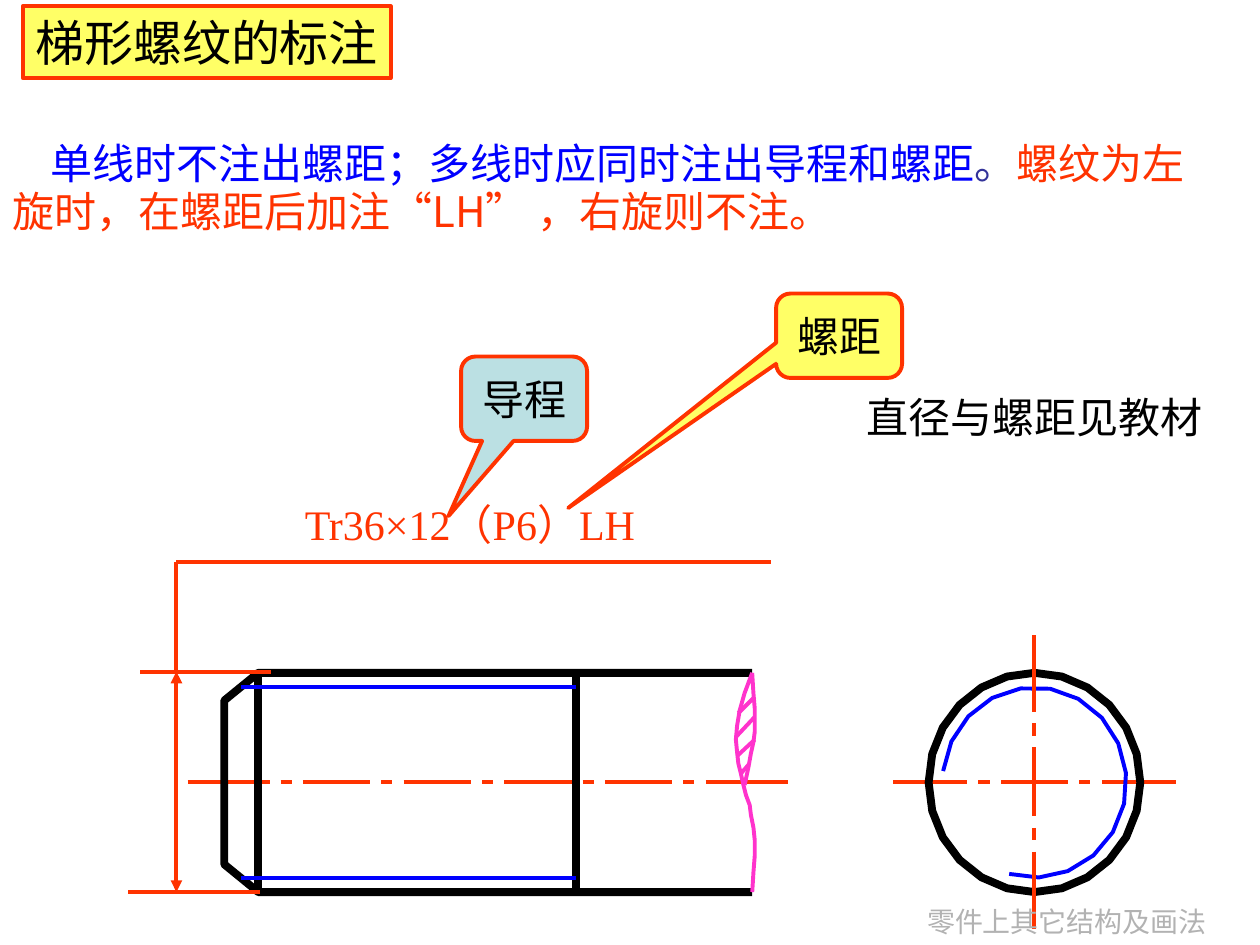
from dataclasses import dataclass
from math import cos, radians, sin
from typing import Optional

from lxml.etree import SubElement
from pptx import Presentation
from pptx.dml.color import RGBColor
from pptx.enum.shapes import MSO_CONNECTOR as Connector, MSO_SHAPE as Preset
from pptx.enum.text import MSO_ANCHOR as Anchor, MSO_AUTO_SIZE as AutoSize, PP_ALIGN as Align
from pptx.oxml.ns import qn
from pptx.util import Inches, Pt

RED = RGBColor(0xFF, 0x33, 0x00)
YELLOW = RGBColor(0xFF, 0xFF, 0x66)
PALE_TEAL = RGBColor(0xBB, 0xE0, 0xE3)
BLUE = RGBColor(0x00, 0x00, 0xFF)
INDIGO = RGBColor(0x33, 0x33, 0x99)
MAGENTA = RGBColor(0xFF, 0x33, 0xCC)
GREY = RGBColor(0xB2, 0xB2, 0xB2)
BLACK = RGBColor(0, 0, 0)

NOTO, TIMES, ARIAL = "Noto Sans CJK SC", "Times New Roman", "Arial"
THIN, THICK = 2.25, 4.5
COLUMNS, ROWS = 100, 75

presentation = Presentation()
presentation.slide_width, presentation.slide_height = Inches(10), Inches(7.5)
slide = presentation.slides.add_slide(presentation.slide_layouts[6])
CELL_WIDTH = presentation.slide_width / COLUMNS
CELL_HEIGHT = presentation.slide_height / ROWS

Point = tuple[float, float]


@dataclass
class Label:
    text: str
    box: tuple[float, float, float, float]
    font: str = TIMES
    size: int = 24
    color: RGBColor = BLACK
    align: Align = Align.LEFT
    anchor: Anchor = Anchor.TOP
    wrap: bool = True
    grow: bool = True
    preset: Optional[Preset] = None
    fill: Optional[RGBColor] = None
    tip: tuple[float, ...] = ()


@dataclass
class Stroke:
    points: list[Point]
    color: RGBColor = RED
    width: float = THIN
    closed: bool = False
    arrows: bool = False


@dataclass
class CenterLine:
    start: Point
    end_dash: float
    inner_dash: float
    inner_count: int
    dot: float
    gap: float
    vertical: bool = False


def place(column: float, row: float) -> tuple[int, int]:
    return round(column * CELL_WIDTH), round(row * CELL_HEIGHT)


def set_font(font, name: str) -> None:
    font.name = name
    SubElement(font._element, qn("a:ea"), typeface=NOTO)


def draw_label(label: Label):
    left, top, width, height = label.box
    area = (*place(left, top), *place(width, height))
    if label.preset is None:
        shape = slide.shapes.add_textbox(*area)
    else:
        shape = slide.shapes.add_shape(label.preset, *area)
        shape.shadow.inherit = False
        shape.fill.solid()
        shape.fill.fore_color.rgb = label.fill
        shape.line.color.rgb = RED
        shape.line.width = Pt(THIN)
        for index, value in enumerate(label.tip):
            shape.adjustments[index] = value
    frame = shape.text_frame
    frame.word_wrap = label.wrap
    frame.auto_size = AutoSize.SHAPE_TO_FIT_TEXT if label.grow else AutoSize.NONE
    frame.vertical_anchor = label.anchor
    paragraph = frame.paragraphs[0]
    paragraph.alignment = label.align
    paragraph.font.size = Pt(label.size)
    if label.text:
        paragraph.add_run().text = label.text
        paragraph.font.color.rgb = label.color
        set_font(paragraph.font, label.font)
    return paragraph


def draw_stroke(stroke: Stroke) -> None:
    points = [place(*point) for point in stroke.points]
    if len(points) == 2:
        shape = slide.shapes.add_connector(Connector.STRAIGHT, *points[0], *points[1])
        SubElement(shape._element.spPr, qn("a:effectLst"))
    else:
        builder = slide.shapes.build_freeform(*points[0], scale=1.0)
        builder.add_line_segments(points[1:], close=stroke.closed)
        shape = builder.convert_to_shape()
        shape.shadow.inherit = False
        shape.fill.background()
    shape.line.color.rgb = stroke.color
    shape.line.width = Pt(stroke.width)
    if stroke.arrows:
        for end in ("a:headEnd", "a:tailEnd"):
            SubElement(shape.line._get_or_add_ln(), qn(end), type="triangle")


def draw_center_line(line: CenterLine) -> None:
    dashes = [line.end_dash]
    for length in [line.inner_dash] * line.inner_count + [line.end_dash]:
        dashes += [line.dot, length]
    column, row = line.start
    across, down = (0, 1) if line.vertical else (1, 0)
    for dash in dashes:
        draw_stroke(Stroke([(column, row), (column + across * dash, row + down * dash)]))
        column += across * (dash + line.gap)
        row += down * (dash + line.gap)


def arc(center: Point, radii: Point, start: float, step: float, count: int) -> list[Point]:
    angles = [radians(start + step * index) for index in range(count)]
    return [(center[0] + radii[0] * cos(angle), center[1] + radii[1] * sin(angle)) for angle in angles]


rule = draw_label(Label("", (0, 10.7, 95, 8.6), align=Align.JUSTIFY))
rule.line_spacing = 0.95
rule._p.get_or_add_pPr().set("indent", str(Inches(0.3)))
for text, color, font in [
    ("单线时不注出螺距；多线时应同时注出导程和螺距", BLUE, NOTO),
    ("。", INDIGO, NOTO),
    ("螺纹为左旋时，在螺距后加注", RED, NOTO),
    ("“", RED, TIMES),
    ("LH", RED, NOTO),
    ("” ", RED, TIMES),
    ("，右旋则不注。", RED, NOTO),
]:
    run = rule.add_run()
    run.text = text
    run.font.color.rgb = color
    set_font(run.font, font)

draw_label(Label("梯形螺纹的标注", (1.8, 0.5, 29.2, 5.7), size=28, align=Align.CENTER,
                 anchor=Anchor.MIDDLE, wrap=False, preset=Preset.RECTANGLE, fill=YELLOW))
draw_label(Label("Tr36×12（P6）LH", (8.3, 39.05, 58, 5), color=RED, align=Align.CENTER,
                 anchor=Anchor.MIDDLE))

TOP, BOTTOM, AXIS = 53.4, 70.8, 62.1
FACE, SHOULDER, THREAD_END, BREAK = 17.8, 20.5, 45.7, 59.7
END_VIEW = (82.1, AXIS)

draw_center_line(CenterLine((14.9, AXIS), 6.5, 5.35, 4, 0.88, 0.88))
draw_center_line(CenterLine((70.9, AXIS), 5.85, 5.3, 1, 0.88, 0.91))
draw_stroke(Stroke(arc(END_VIEW, (8.4, 8.7), 0, -15, 24), BLACK, THICK, closed=True))
draw_stroke(Stroke(arc(END_VIEW, (7.3, 7.55), 105.9, -18.6, 16), BLUE))
draw_center_line(CenterLine((82.1, 50.4), 6.1, 5.5, 1, 1, 0.9, vertical=True))

for points in [
    [(BREAK, TOP), (SHOULDER, TOP), (FACE, 55.6), (FACE, 68.6), (SHOULDER, BOTTOM), (BREAK, BOTTOM)],
    [(SHOULDER, BOTTOM), (SHOULDER, TOP)],
    [(THREAD_END, TOP), (THREAD_END, BOTTOM)],
]:
    draw_stroke(Stroke(points, BLACK, THICK))
for row in (54.5, 69.7):
    draw_stroke(Stroke([(THREAD_END, row), (19.1, row)], BLUE))

for points in [
    [(BREAK, TOP), (59.1, 55), (58.7, 56.4), (58.5, 57.6), (58.4, 58.7), (58.5, 59.7),
     (58.6, 60.6), (58.8, 61.4), (59, 62.3), (59.2, 63.1), (59.5, 63.9), (59.6, 64.7),
     (59.8, 65.7), (59.9, 66.7), (59.9, 67.9), (59.8, 69.2), (BREAK, BOTTOM)],
    [(BREAK, TOP), (59.8, 55), (59.9, 56.2), (59.9, 58.1), (59.8, 58.9), (59.6, 59.8),
     (59.4, 60.9), (59.1, 62.3)],
    [(59.4, 54.2), (59.7, 53.8)],
    [(58.6, 56.6), (59.9, 55.3)],
    [(58.4, 58.5), (59.9, 56.9)],
    [(58.5, 60), (59.9, 58.7)],
    [(58.8, 61.4), (59.4, 60.7)],
]:
    draw_stroke(Stroke(points, MAGENTA))

DIMENSION, LEADER = 14, 44.6
draw_stroke(Stroke([(20.6, BOTTOM), (10.2, BOTTOM)]))
draw_stroke(Stroke([(21.5, 53.3), (11.1, 53.3)]))
draw_stroke(Stroke([(DIMENSION, 53.3), (DIMENSION, BOTTOM)], arrows=True))
draw_stroke(Stroke([(DIMENSION, 53.3), (DIMENSION, LEADER)]))
draw_stroke(Stroke([(DIMENSION, LEADER), (61.2, LEADER)]))

for text, left, top, fill, tip in [
    ("导程", 36.6, 28.3, PALE_TEAL, (-0.6, 1.39, 0.17)),
    ("螺距", 61.6, 23.3, YELLOW, (-2.15, 2.04, 0.17)),
]:
    draw_label(Label(text, (left, top, 10, 6.7), align=Align.CENTER, anchor=Anchor.MIDDLE, wrap=False,
                     grow=False, preset=Preset.ROUNDED_RECTANGULAR_CALLOUT, fill=fill, tip=tip))
draw_label(Label("直径与螺距见教材", (67.8, 30.6, 32.2, 5), font=ARIAL))
draw_label(Label("零件上其它结构及画法", (72.6, 71.3, 24.8, 3.7), font=ARIAL, size=16, color=GREY, wrap=False))

presentation.save("out.pptx")
